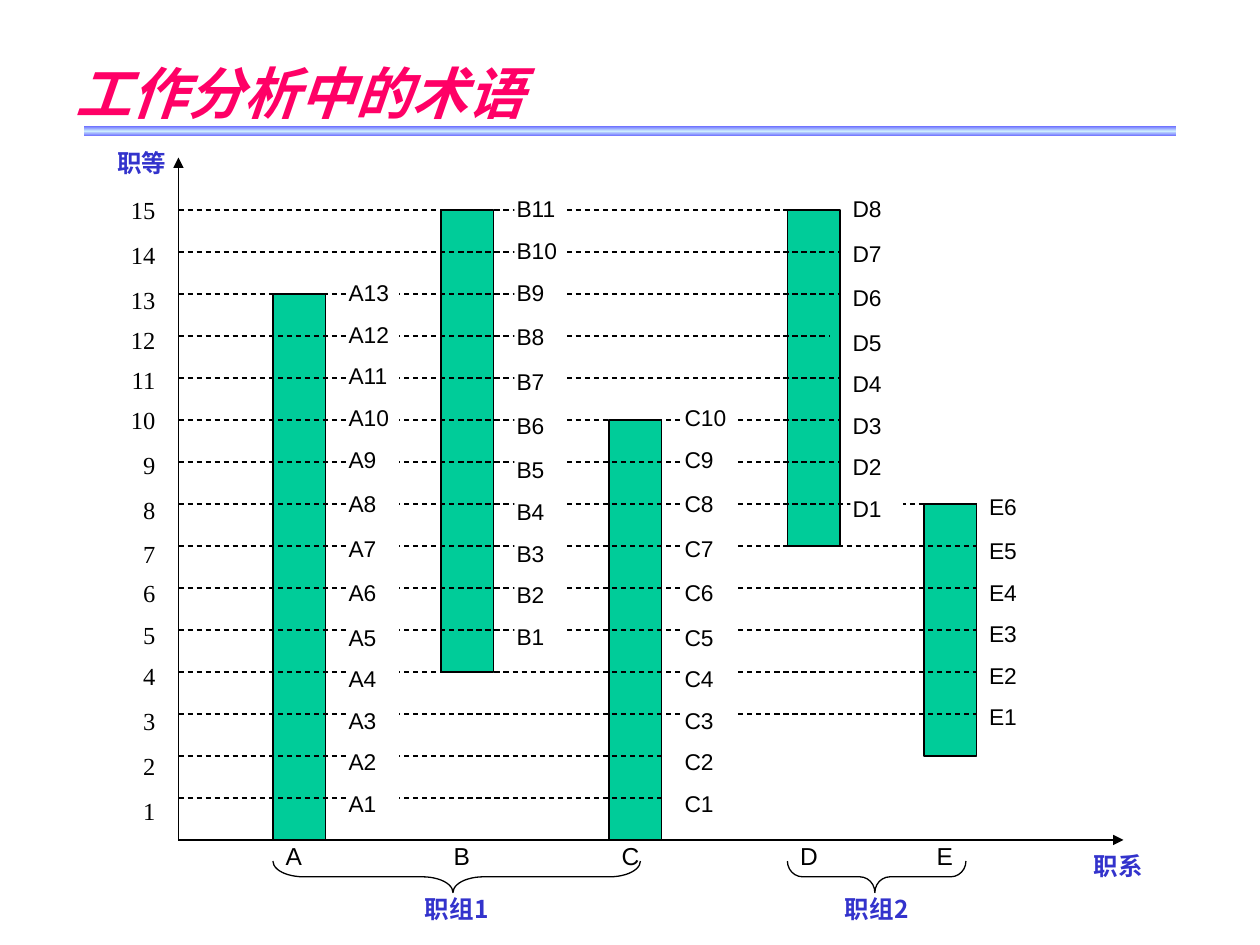
import pptx
import pptx.dml.color
import pptx.enum.dml
import pptx.enum.shapes
import pptx.enum.text
import pptx.oxml
import pptx.oxml.ns
import pptx.util
from dataclasses import dataclass

PX = 7620  # 120 px to the inch
LEVEL_STEP, AXIS_X, AXIS_Y = 40, 170, 800
BAR_WIDTH, LABEL_WIDTH = 50, 50
COLORS = {"title": "FF0066", "caption": "3333CC", "ink": "000000", "bar": "00CC99",
          "paper": "FFFFFF", "rule_edge": "6666FF", "rule_middle": "CCECFF"}
CJK, LATIN, SERIF = "Noto Sans CJK SC", "Arial", "Times New Roman"
ALIGN = pptx.enum.text.PP_ALIGN
SHAPE = pptx.enum.shapes.MSO_SHAPE


@dataclass(frozen=True)
class Series:
    """A job series whose bar spans from level bottom to level top."""
    name: str
    x: int
    bottom: int
    top: int
    jobs: int
    label_x: int
    label_y: int
    label_height: int


@dataclass(frozen=True)
class Group:
    """A brace, given before its quarter turn, with its bend and tip."""
    box: tuple[int, int, int, int]
    bend: float
    tip: float


@dataclass(frozen=True)
class Style:
    font: str
    size: int
    color: str
    bold: bool = False
    italic: bool = False


TITLE = Style(CJK, 32, "title", True, True)
CAPTION = Style(CJK, 14, "caption", True)
LEVEL = Style(SERIF, 14, "ink")
JOB = Style(LATIN, 13, "ink")
NAME = Style(LATIN, 14, "ink")

SERIES = [
    Series("A", 260, 0, 13, 13, 330, 260, 524),
    Series("B", 420, 4, 15, 11, 490, 180, 445),
    Series("C", 580, 0, 10, 10, 650, 379, 406),
    Series("D", 750, 7, 15, 8, 810, 180, 324),
    Series("E", 880, 2, 8, 6, 940, 463, 239),
]
GROUPS = [Group((420, 660, 30, 350), 0.97, 0.49), Group((820, 750, 30, 170), 0.48, 0.49)]
GRID_ENDS = [630] * 2 + [930] * 6 + [800] * 3 + [790] + [800] * 3
LEVEL_GAPS = [0, 8.8, 8.8, 6.1, 6.1, 6.1, 8.8, 8.8, 8.8, 5.2, 7, 7, 8.8, 8.8, 8.8]
CAPTIONS = [("职组1", 360, 850, 150), ("职组2", 760, 850, 150),
            ("职系", 990, 810, 150), ("职等", 90, 140, 90)]


def rgb(name: str) -> pptx.dml.color.RGBColor:
    return pptx.dml.color.RGBColor.from_string(COLORS[name])


def level_y(level: int) -> int:
    return AXIS_Y - LEVEL_STEP * level


def emu(*lengths: int) -> list[int]:
    return [length * PX for length in lengths]


def add_plain(slide, kind, box: tuple[int, int, int, int], fill=None, line=None):
    shape = slide.shapes.add_shape(kind, *emu(*box))
    shape.shadow.inherit = False
    if fill:
        shape.fill.solid()
        shape.fill.fore_color.rgb = rgb(fill)
    else:
        shape.fill.background()
    if line:
        shape.line.color.rgb = rgb(line)
        shape.line.width = pptx.util.Pt(0.75)
    else:
        shape.line.fill.background()
    return shape


def write(shape, lines: list[str], style: Style, align=ALIGN.LEFT,
          margins: tuple[int, int] = (12, 6), gaps: list[float] = (0,)) -> None:
    frame = shape.text_frame
    side, edge = emu(*margins)
    frame_format = {"word_wrap": True, "vertical_anchor": pptx.enum.text.MSO_ANCHOR.TOP,
                    "auto_size": pptx.enum.text.MSO_AUTO_SIZE.NONE,
                    "margin_left": side, "margin_right": side,
                    "margin_top": edge, "margin_bottom": edge}
    for key, value in frame_format.items():
        setattr(frame, key, value)
    font_format = {"name": style.font, "size": pptx.util.Pt(style.size),
                   "bold": style.bold, "italic": style.italic}
    for index, (line, gap) in enumerate(zip(lines, gaps)):
        paragraph = frame.add_paragraph() if index else frame.paragraphs[0]
        paragraph.alignment = align
        paragraph.space_before = pptx.util.Pt(gap)
        run = paragraph.add_run()
        run.text = line
        for key, value in font_format.items():
            setattr(run.font, key, value)
        run.font.color.rgb = rgb(style.color)
        east_asian = pptx.oxml.ns.qn("a:ea")
        run.font._element.get_or_add_latin().addnext(
            run.font._element.makeelement(east_asian, {"typeface": style.font}))


def add_text(slide, box: tuple[int, int, int, int], *args, **options) -> None:
    write(slide.shapes.add_textbox(*emu(*box)), *args, **options)


def add_line(slide, start: tuple[int, int], end: tuple[int, int],
             arrow: bool = False, dashed: bool = False):
    line = slide.shapes.add_connector(
        pptx.enum.shapes.MSO_CONNECTOR.STRAIGHT, *emu(*start, *end))
    line.line.color.rgb = rgb("ink")
    line.line.width = pptx.util.Pt(0.75)
    if dashed:
        line.line.dash_style = pptx.enum.dml.MSO_LINE.DASH
    properties = line._element.spPr
    if arrow:
        pptx.oxml.ns.qn("a:ln")
        outline = properties.find(pptx.oxml.ns.qn("a:ln"))
        outline.append(outline.makeelement(pptx.oxml.ns.qn("a:tailEnd"), {"type": "triangle"}))
    properties.append(properties.makeelement(pptx.oxml.ns.qn("a:effectLst"), {}))
    return line


def add_heading(slide) -> None:
    rule = add_plain(slide, SHAPE.RECTANGLE, (80, 120, 1040, 10))
    rule.fill.gradient()
    rule.fill.gradient_angle = 90
    stops = rule.fill._fill._gradFill.gsLst
    stops.insert(1, pptx.oxml.parse_xml(
        '<a:gs xmlns:a="http://schemas.openxmlformats.org/drawingml/2006/main" '
        f'pos="50000"><a:srgbClr val="{COLORS["rule_middle"]}"/></a:gs>'))
    for stop, color in zip(rule.fill.gradient_stops, ("rule_edge", "rule_middle", "rule_edge")):
        stop.color.rgb = rgb(color)
    title = slide.shapes.title
    title.left, title.top, title.width, title.height = emu(60, 50, 500, 77)
    write(title, ["工作分析中的术语"], TITLE)


def add_grid(slide, bars: list) -> None:
    """Draw the level lines, joining those that end at the middle of a bar's right side."""
    for level, end_x in enumerate(GRID_ENDS, 1):
        y = level_y(level)
        line = add_line(slide, (AXIS_X, y), (end_x, y), dashed=True)
        for series, bar in zip(SERIES, bars):
            if (series.x + BAR_WIDTH, series.top + series.bottom) == (end_x, 2 * level):
                line.end_connect(bar, 3)


def add_series_labels(slide, series: Series) -> None:
    numbers = range(series.jobs, 0, -1)
    gaps = [0] + [9.8 if 5 <= number <= 8 else 8.1 for number in numbers[1:]]
    labels = add_plain(slide, SHAPE.RECTANGLE,
                       (series.label_x, series.label_y, LABEL_WIDTH, series.label_height), "paper")
    write(labels, [f"{series.name}{number}" for number in numbers], JOB,
          margins=(2, 6), gaps=gaps)
    add_text(slide, (series.x + 10, AXIS_Y, 40, 31), [series.name], NAME, margins=(2, 1))


def add_brace(slide, group: Group) -> None:
    brace = add_plain(slide, SHAPE.LEFT_BRACE, group.box, line="ink")
    brace.rotation = 270
    brace.adjustments[0], brace.adjustments[1] = group.bend, group.tip


def main() -> None:
    deck = pptx.Presentation()
    deck.slide_width, deck.slide_height = emu(1200, 900)
    slide = deck.slides.add_slide(deck.slide_layouts[5])
    add_heading(slide)
    bars = [add_plain(slide, SHAPE.RECTANGLE,
                      (series.x, level_y(series.top), BAR_WIDTH,
                       LEVEL_STEP * (series.top - series.bottom)), "bar", "ink")
            for series in SERIES]
    for end in ((1070, AXIS_Y), (AXIS_X, 150)):
        add_line(slide, (AXIS_X, AXIS_Y), end, arrow=True)
    add_grid(slide, bars)
    add_text(slide, (100, 180, 50, 612), [str(level) for level in range(15, 0, -1)], LEVEL,
             align=ALIGN.RIGHT, margins=(2, 6), gaps=LEVEL_GAPS)
    for series in SERIES:
        add_series_labels(slide, series)
    for group in GROUPS:
        add_brace(slide, group)
    for caption, x, y, width in CAPTIONS:
        add_text(slide, (x, y, width, 31), [caption], CAPTION, align=ALIGN.CENTER, margins=(12, 1))
    deck.save("out.pptx")


if __name__ == "__main__":
    main()
